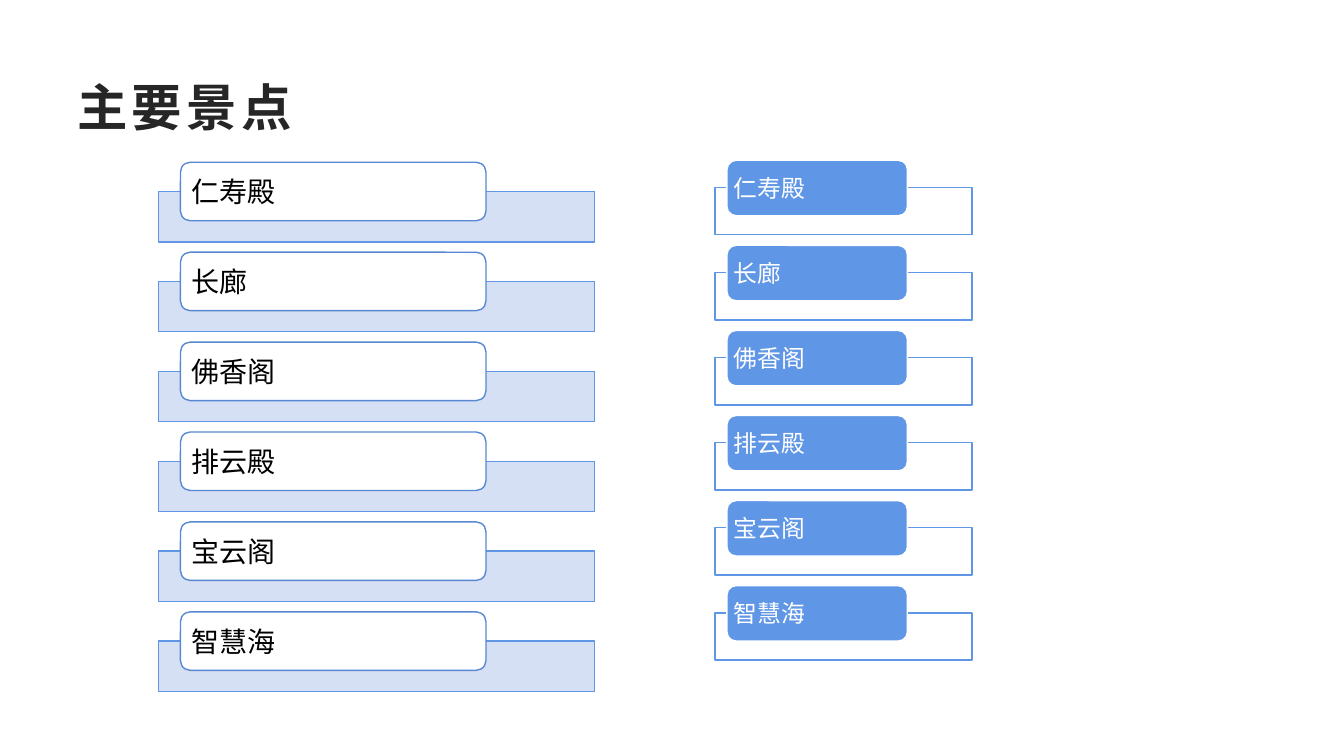
from lxml.etree import SubElement
from pptx import Presentation
from pptx.dml.color import RGBColor
from pptx.enum.shapes import MSO_SHAPE
from pptx.enum.text import MSO_ANCHOR, PP_ALIGN
from pptx.oxml.ns import qn
from pptx.util import Inches, Pt

WHITE = RGBColor(0xFF, 0xFF, 0xFF)
BLACK = RGBColor(0x00, 0x00, 0x00)
DARK = RGBColor(0x26, 0x26, 0x26)
BLUE = RGBColor(0x60, 0x96, 0xE6)
DEEP_BLUE = RGBColor(0x57, 0x88, 0xD1)
PALE_BLUE = RGBColor(0xD2, 0xDD, 0xF5)

SIGHTS = ["仁寿殿", "长廊", "佛香阁", "排云殿", "宝云阁", "智慧海"]
LEFT_LIST = {
    "bar": (1.57, 1.9, 4.33, 0.5), "label": (1.79, 1.61, 3.03, 0.58),
    "last_bar_top": 6.36, "inset": 0.08, "size": 20, "font": "Noto Sans CJK SC",
    "bar_fill": PALE_BLUE, "fill": WHITE, "line": DEEP_BLUE, "color": BLACK,
}
RIGHT_LIST = {
    "bar": (7.09, 1.86, 2.55, 0.47), "label": (7.21, 1.59, 1.79, 0.55),
    "last_bar_top": 6.08, "inset": 0.04, "size": 17, "font": "Arial",
    "bar_fill": WHITE, "fill": BLUE, "line": WHITE, "color": WHITE,
}


class SlideBuilder:
    """Draws titles and label lists on one slide in a shared style."""

    def __init__(self, slide, ea_font="Noto Sans CJK SC"):
        self.slide = slide
        self.ea_font = ea_font

    def set_text(self, sp, text, font, size, color, inset, bold=False, spacing=0):
        tf = sp.text_frame
        frame = {
            "word_wrap": True, "vertical_anchor": MSO_ANCHOR.MIDDLE,
            "margin_left": Inches(inset), "margin_right": Inches(inset),
            "margin_top": 0, "margin_bottom": 0,
        }
        for name, value in frame.items():
            setattr(tf, name, value)
        p = tf.paragraphs[0]
        p.alignment = PP_ALIGN.LEFT
        r = p.add_run()
        r.text = text
        for name, value in {"name": font, "size": Pt(size), "bold": bold}.items():
            setattr(r.font, name, value)
        r.font.color.rgb = color
        rPr = r._r.get_or_add_rPr()
        rPr.set("spc", str(spacing * 100))
        SubElement(rPr, qn("a:ea"), typeface=self.ea_font)

    def title(self, text, box):
        sp = self.slide.shapes.add_textbox(*map(Inches, box))
        self.set_text(sp, text, "Arial", 36, DARK, 0.1, bold=True, spacing=3)

    def box(self, kind, box, fill, line, alpha=100):
        sp = self.slide.shapes.add_shape(kind, *map(Inches, box))
        sp.shadow.inherit = False
        sp.fill.solid()
        sp.fill.fore_color.rgb = fill
        sp.line.color.rgb = line
        sp.line.width = Pt(1)
        if alpha < 100:
            color = sp._element.spPr.find(qn("a:solidFill"))[0]
            SubElement(color, qn("a:alpha"), val=str(alpha * 1000))
        return sp

    def label_list(self, items, look):
        step = (look["last_bar_top"] - look["bar"][1]) / (len(items) - 1)
        for i, item in enumerate(items):
            bar, label = (
                (x, y + i * step, w, h)
                for x, y, w, h in (look["bar"], look["label"])
            )
            self.box(MSO_SHAPE.RECTANGLE, bar, look["bar_fill"], BLUE, alpha=90)
            sp = self.box(MSO_SHAPE.ROUNDED_RECTANGLE, label, look["fill"], look["line"])
            self.set_text(sp, item, look["font"], look["size"], look["color"], look["inset"])


def main():
    prs = Presentation()
    prs.slide_width, prs.slide_height = Inches(13.33), Inches(7.5)
    s = SlideBuilder(prs.slides.add_slide(prs.slide_layouts[6]))
    s.title("主要景点", (0.67, 0.67, 12, 0.77))
    for look in (LEFT_LIST, RIGHT_LIST):
        s.label_list(SIGHTS, look)
    prs.save("out.pptx")


if __name__ == "__main__":
    main()
